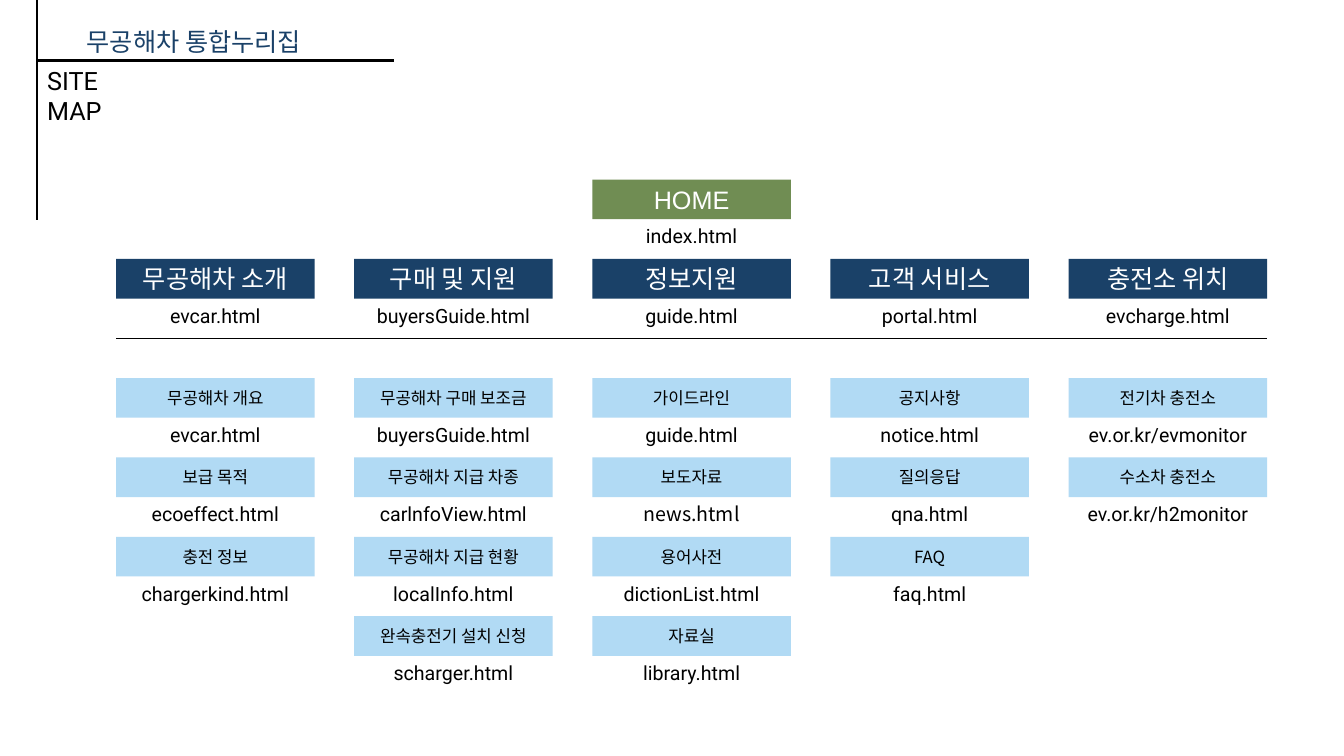
"""Build the site map slide of the zero-emission vehicle portal."""
from lxml.etree import SubElement
from pptx import Presentation
from pptx.dml.color import RGBColor
from pptx.enum.shapes import MSO_CONNECTOR, MSO_SHAPE
from pptx.enum.text import MSO_ANCHOR, MSO_AUTO_SIZE, PP_ALIGN
from pptx.oxml.ns import qn
from pptx.util import Pt

COLORS = {"black": "000000", "white": "FFFFFF", "navy": "1A4168", "green": "708D53", "sky": "B1DAF4"}
KOREAN = "Noto Sans CJK KR"
UNIT = 28.35
GRID_LEFT, GRID_TOP = 82.9, 128.3
BOX_WIDTH, COLUMN_STEP, ROW_STEP = 5 * UNIT, 6 * UNIT, 2 * UNIT
LINK_HEIGHT = 24.25
LINK_FONTS = {"news.html": KOREAN}

COLUMNS = [
    ("무공해차 소개", "evcar.html", [
        ("무공해차 개요", "evcar.html"),
        ("보급 목적", "ecoeffect.html"),
        ("충전 정보", "chargerkind.html"),
    ]),
    ("구매 및 지원", "buyersGuide.html", [
        ("무공해차 구매 보조금", "buyersGuide.html"),
        ("무공해차 지급 차종", "carlnfoView.html"),
        ("무공해차 지급 현황", "localInfo.html"),
        ("완속충전기 설치 신청", "scharger.html"),
    ]),
    ("정보지원", "guide.html", [
        ("가이드라인", "guide.html"),
        ("보도자료", "news.html"),
        ("용어사전", "dictionList.html"),
        ("자료실", "library.html"),
    ]),
    ("고객 서비스", "portal.html", [
        ("공지사항", "notice.html"),
        ("질의응답", "qna.html"),
        ("FAQ", "faq.html"),
    ]),
    ("충전소 위치", "evcharge.html", [
        ("전기차 충전소", "ev.or.kr/evmonitor"),
        ("수소차 충전소", "ev.or.kr/h2monitor"),
    ]),
]


def write(shape, text, size, font, color, align=PP_ALIGN.CENTER):
    """Put one styled run into a shape."""
    shape.text_frame.word_wrap = True
    para = shape.text_frame.paragraphs[0]
    para.alignment = align
    span = para.add_run()
    span.text = text
    span.font.size = Pt(size)
    span.font.name = font
    span.font.color.rgb = RGBColor.from_string(COLORS[color])
    SubElement(span.font._element, qn("a:ea")).set("typeface", KOREAN)


deck = Presentation()
deck.slide_width, deck.slide_height = Pt(960), Pt(540)
page = deck.slides.add_slide(deck.slide_layouts[5])

title = page.shapes.title
title.left, title.top, title.width, title.height = Pt(54.7), Pt(15.1), Pt(184.3), Pt(29)
title.text_frame.vertical_anchor = MSO_ANCHOR.TOP
title.text_frame.auto_size = MSO_AUTO_SIZE.NONE
write(title, "무공해차 통합누리집", 18, KOREAN, "navy", PP_ALIGN.LEFT)

subtitle = page.shapes.add_textbox(Pt(26.6), Pt(43.2), Pt(88.5), Pt(29))
write(subtitle, "SITE MAP", 18, "Roboto", "black", PP_ALIGN.LEFT)

divider_top = GRID_TOP + 2 * ROW_STEP
grid_right = GRID_LEFT + 4 * COLUMN_STEP + BOX_WIDTH
rules = [
    (26.6, 0, 26.6, 157, 1.5),
    (26.6, 43.2, 281.5, 43.2, 1.5),
    (GRID_LEFT, divider_top, grid_right, divider_top, 0.5),
]
for start_x, start_y, end_x, end_y, weight in rules:
    rule = page.shapes.add_connector(
        MSO_CONNECTOR.STRAIGHT, Pt(start_x), Pt(start_y), Pt(end_x), Pt(end_y))
    rule.line.color.rgb = RGBColor.from_string(COLORS["black"])
    rule.line.width = Pt(weight)
    SubElement(rule._element.spPr, qn("a:effectLst"))

entries = [(2, 0, "HOME", "index.html", "green", "white", 18, "Arial")]
for column, (heading, heading_link, items) in enumerate(COLUMNS):
    entries.append((column, 1, heading, heading_link, "navy", "white", 18, "Arial"))
    for row, (label, link) in enumerate(items):
        entries.append((column, 2.5 + row, label, link, "sky", "black", 12, KOREAN))

for column, row, label, link, fill, color, size, font in entries:
    left = GRID_LEFT + column * COLUMN_STEP
    top = GRID_TOP + row * ROW_STEP
    box = page.shapes.add_shape(MSO_SHAPE.RECTANGLE, Pt(left), Pt(top), Pt(BOX_WIDTH), Pt(UNIT))
    box.shadow.inherit = False
    box.fill.solid()
    box.fill.fore_color.rgb = RGBColor.from_string(COLORS[fill])
    box.line.fill.background()
    box.text_frame.vertical_anchor = MSO_ANCHOR.MIDDLE
    write(box, label, size, font, color)

    caption = page.shapes.add_textbox(Pt(left), Pt(top + UNIT), Pt(BOX_WIDTH), Pt(LINK_HEIGHT))
    write(caption, link, 14, LINK_FONTS.get(link, "Roboto"), "black")

deck.save("out.pptx")
